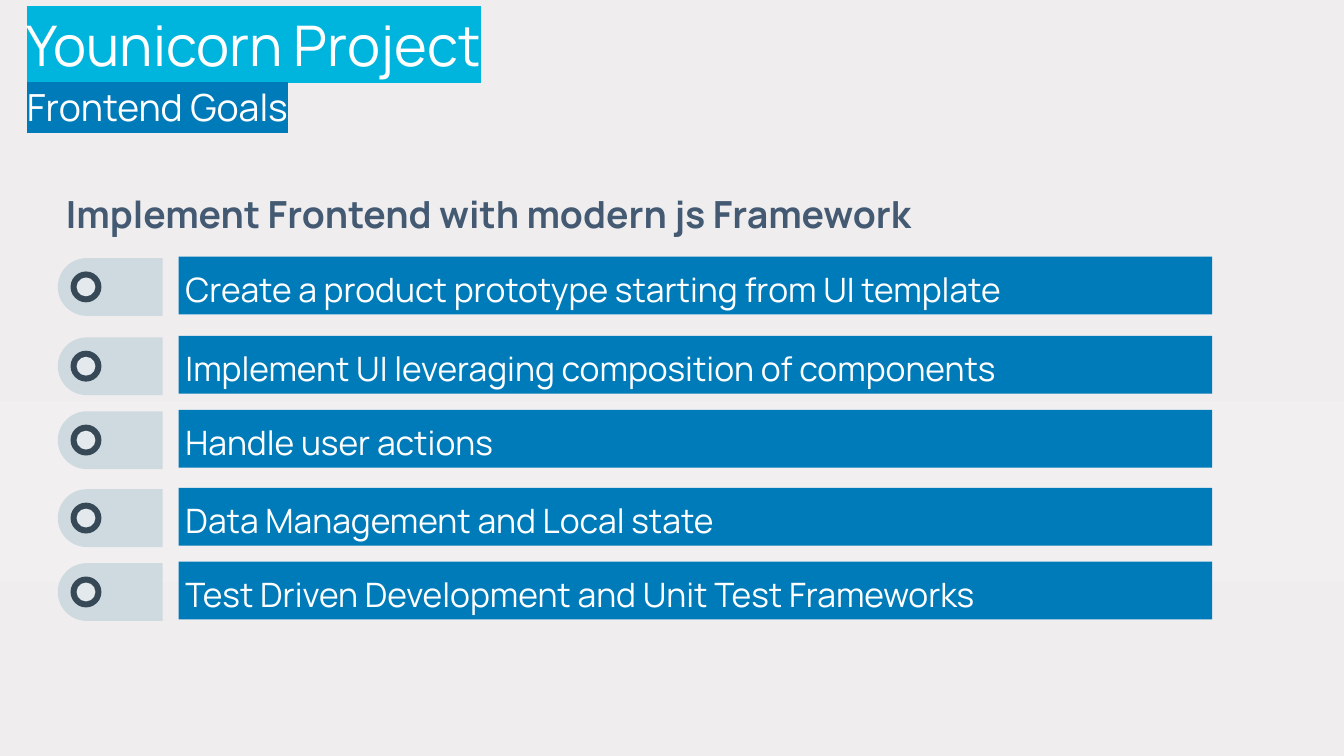
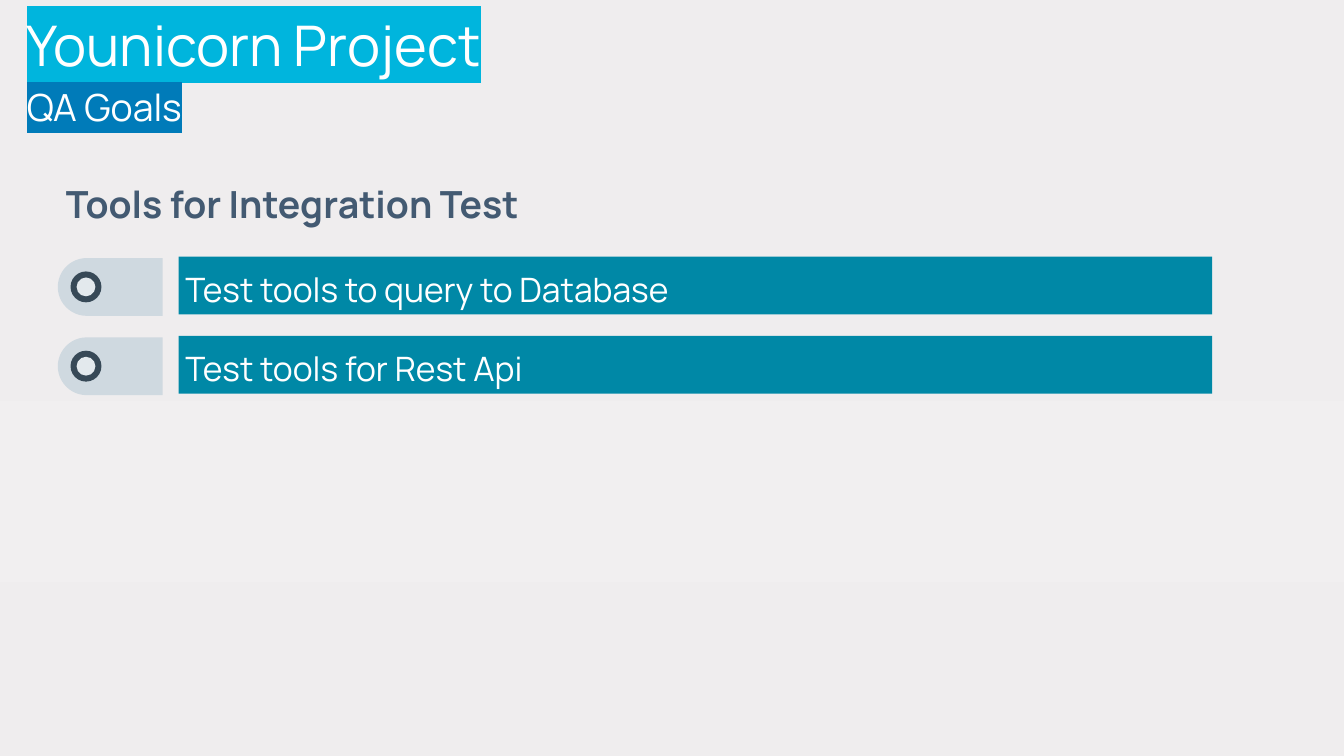
from copy import deepcopy
from dataclasses import dataclass

from lxml import etree
from pptx import Presentation
from pptx import util as u
from pptx.dml.color import RGBColor
from pptx.enum import shapes, text
from pptx.oxml.ns import qn

FONT = "Manrope"
COLORS = {
    "white": "FFFFFF",
    "title_band": "00B5DD",
    "blue": "007BB9",
    "teal": "0088A6",
    "headline": "435A72",
    "tab": "CFD9E0",
    "ring": "374957",
    "ring_center": "E3E9ED",
}
BACKGROUND_STOPS = ((0, "EFEDEE"), (0.53, "F1EFF0"), (0.77, "EFEDEE"), (1, "EFEBEC"))

SLIDE_WIDTH = u.Inches(10)
SLIDE_HEIGHT = SLIDE_WIDTH * 9 // 16
PROJECT = "Younicorn Project"
ROW_TOPS = (1.91, 2.5, 3.05, 3.63, 4.18)
ROW_HEIGHT = 0.43
CONTENT_SHIFT = 0.01  # labels and badges sit slightly below their bar
TAB_LEFT, TAB_LENGTH = 0.43, 0.78
RING_CENTER_X = 0.64


@dataclass(frozen=True)
class GoalSlide:
    subtitle: str
    headline: str
    headline_top: float
    bar_color: str
    goals: tuple[str, ...]


GOAL_SLIDES = (
    GoalSlide(
        "Frontend Goals",
        "Implement Frontend with modern js Framework",
        1.36,
        "blue",
        (
            "Create a product prototype starting from UI template",
            "Implement UI leveraging composition of components",
            "Handle user actions",
            "Data Management and Local state",
            "Test Driven Development and Unit Test Frameworks",
        ),
    ),
    GoalSlide(
        "QA Goals",
        "Tools for Integration Test",
        1.28,
        "teal",
        ("Test tools to query to Database", "Test tools for Rest Api"),
    ),
)


def rgb(name: str) -> RGBColor:
    return RGBColor.from_string(COLORS[name])


def set_background(master) -> None:
    """Give every slide the vertical four-stop gradient."""
    fill = master.background.fill
    fill.gradient()
    fill.gradient_angle = 270
    stop_list = master.element.find(".//" + qn("a:gsLst"))
    while len(stop_list) < len(BACKGROUND_STOPS):
        stop_list.append(deepcopy(stop_list[0]))
    for stop, (position, color) in zip(fill.gradient_stops, BACKGROUND_STOPS):
        stop.position = position
        stop.color.rgb = RGBColor.from_string(color)


def format_run(run, size: int, color: str, bold: bool = False) -> None:
    run.font.name = FONT
    run.font.size = u.Pt(size)
    run.font.bold = bold
    run.font.color.rgb = rgb(color)


def highlight(run, color: str) -> None:
    """Add a highlight right after the run's fill, as the schema requires."""
    element = etree.Element(qn("a:highlight"))
    etree.SubElement(element, qn("a:srgbClr"), val=COLORS[color])
    run.font._element.find(qn("a:solidFill")).addnext(element)


def prepare_frame(frame, anchor, left_inset: float = 0) -> None:
    frame.word_wrap = True
    frame.auto_size = text.MSO_AUTO_SIZE.NONE
    frame.vertical_anchor = anchor
    frame.margin_left = u.Inches(left_inset)
    frame.margin_top = frame.margin_right = frame.margin_bottom = 0


def set_title(slide, subtitle: str) -> None:
    title = slide.shapes.title
    title.left, title.top = u.Inches(0.2), u.Inches(0)
    title.width, title.height = u.Inches(5.83), u.Inches(1.11)
    frame = title.text_frame
    prepare_frame(frame, text.MSO_ANCHOR.TOP)
    frame.text = f"{PROJECT}\n{subtitle}"
    styles = ((30, "title_band"), (20, "blue"))
    for paragraph, (size, band) in zip(frame.paragraphs, styles):
        paragraph.alignment = text.PP_ALIGN.LEFT
        paragraph.line_spacing = 1.15
        run = paragraph.runs[0]
        format_run(run, size, "white")
        highlight(run, band)


def add_label(slide, content: str, left: float, top: float, width: float,
              size: int, color: str, bold: bool = False, left_inset: float = 0) -> None:
    box = slide.shapes.add_textbox(
        u.Inches(left), u.Inches(top), u.Inches(width), u.Inches(ROW_HEIGHT))
    prepare_frame(box.text_frame, text.MSO_ANCHOR.MIDDLE, left_inset)
    paragraph = box.text_frame.paragraphs[0]
    paragraph.text = content
    paragraph.line_spacing = 1.1
    format_run(paragraph.runs[0], size, color, bold)


def add_filled(container, kind, center_x: float, center_y: float,
               width: float, height: float, color: str):
    shape = container.shapes.add_shape(
        kind, u.Inches(center_x - width / 2), u.Inches(center_y - height / 2),
        u.Inches(width), u.Inches(height))
    shape.shadow.inherit = False
    shape.fill.solid()
    shape.fill.fore_color.rgb = rgb(color)
    shape.line.fill.background()
    return shape


def add_badge(slide, top: float) -> None:
    """Draw a tab rounded on its left, with a ring inside."""
    badge = slide.shapes.add_group_shape()
    center_y = top + ROW_HEIGHT / 2
    tab = add_filled(badge, shapes.MSO_SHAPE.ROUND_2_SAME_RECTANGLE,
                     TAB_LEFT + TAB_LENGTH / 2, center_y, ROW_HEIGHT, TAB_LENGTH, "tab")
    tab.adjustments[0] = 0.5
    tab.rotation = 270
    for diameter, color in ((0.23, "ring"), (0.14, "ring_center")):
        add_filled(badge, shapes.MSO_SHAPE.OVAL, RING_CENTER_X, center_y,
                   diameter, diameter, color)


def add_goal(slide, goal: str, top: float, bar_color: str) -> None:
    add_filled(slide, shapes.MSO_SHAPE.RECTANGLE, 1.33 + 7.69 / 2,
               top + ROW_HEIGHT / 2, 7.69, ROW_HEIGHT, bar_color)
    add_label(slide, goal, 1.38, top + CONTENT_SHIFT, 7.48, 18, "white")
    add_badge(slide, top + CONTENT_SHIFT)


def build_slide(presentation, content: GoalSlide) -> None:
    slide = presentation.slides.add_slide(
        presentation.slide_layouts.get_by_name("Title Only"))
    set_title(slide, content.subtitle)
    add_label(slide, content.headline, 0.43, content.headline_top, 6.61, 20,
              "headline", bold=True, left_inset=0.06)
    for goal, top in zip(content.goals, ROW_TOPS):
        add_goal(slide, goal, top, content.bar_color)


def main() -> None:
    presentation = Presentation()
    presentation.slide_width = SLIDE_WIDTH
    presentation.slide_height = SLIDE_HEIGHT
    set_background(presentation.slide_master)
    for content in GOAL_SLIDES:
        build_slide(presentation, content)
    presentation.save("out.pptx")


if __name__ == "__main__":
    main()
